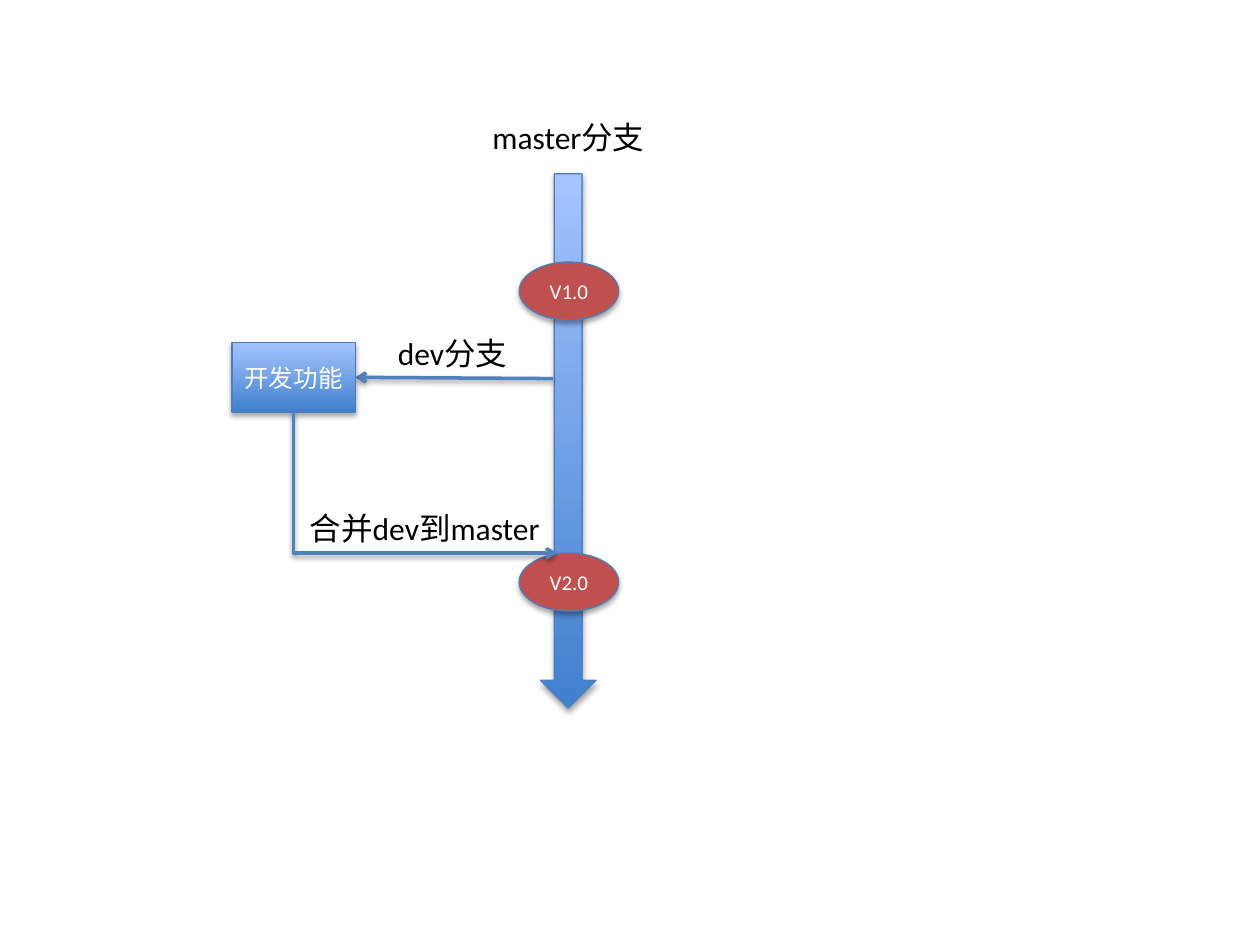
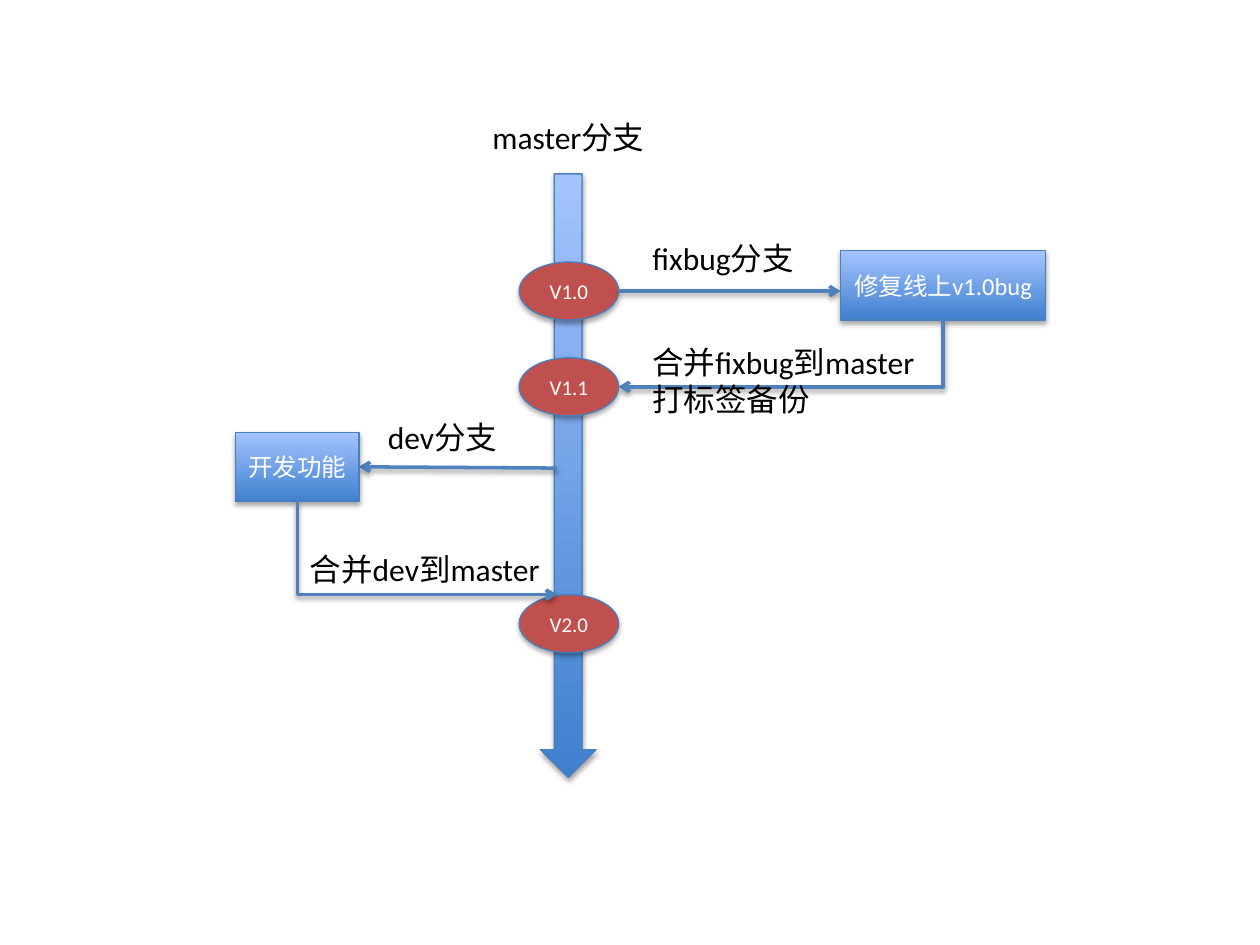
"""Two diagrams of a branching workflow: feature branch, then hotfix branch."""
from dataclasses import dataclass

from lxml.etree import SubElement
from pptx import Presentation
from pptx.dml.color import RGBColor
from pptx.enum.shapes import MSO_CONNECTOR, MSO_SHAPE
from pptx.enum.text import MSO_ANCHOR, MSO_AUTO_SIZE, PP_ALIGN
from pptx.oxml.ns import qn
from pptx.util import Inches, Pt

FONT = "Calibri"
BLACK, WHITE, RED = "000000", "FFFFFF", "C0504D"
GRADIENT = ("3F80CE", "A4C4FF")
OUTLINE, LINK = "4B7EBC", "4F81BD"

TRUNK_LEFT, TRUNK_TOP, TRUNK_WIDTH = 4.29, 1.38, 0.44
VERSION_LEFT, VERSION_WIDTH, VERSION_HEIGHT = 4.12, 0.79, 0.46
VERSION_RIGHT = VERSION_LEFT + VERSION_WIDTH
TASK_HEIGHT = 0.55
LABEL_HEIGHT = 0.4
MERGE_END = 4.42

SHAPE_FRAME = {"word_wrap": True, "vertical_anchor": MSO_ANCHOR.MIDDLE}
LABEL_FRAME = {"word_wrap": True, "vertical_anchor": MSO_ANCHOR.TOP,
               "auto_size": MSO_AUTO_SIZE.SHAPE_TO_FIT_TEXT}


@dataclass(frozen=True)
class Area:
    """A rectangle on the page, in inches."""
    left: float
    top: float
    width: float
    height: float

    @property
    def center_x(self) -> float:
        """Horizontal middle."""
        return self.left + self.width / 2

    @property
    def middle_y(self) -> float:
        """Vertical middle."""
        return self.top + self.height / 2

    @property
    def right(self) -> float:
        """Right edge."""
        return self.left + self.width

    @property
    def bottom(self) -> float:
        """Bottom edge."""
        return self.top + self.height

    def lengths(self) -> list:
        """The four lengths that python-pptx expects."""
        return [Inches(value) for value in (self.left, self.top, self.width, self.height)]


@dataclass(frozen=True)
class DevBranch:
    """Where the feature branch leaves the trunk and rejoins it."""
    task: Area
    fork_x: float
    label_left: float
    label_top: float
    merge_y: float


def color(value: str) -> RGBColor:
    """Turn a hex string into a colour."""
    return RGBColor.from_string(value)


def apply(target, values: dict) -> None:
    """Set attributes from a dict of format values."""
    for name, value in values.items():
        setattr(target, name, value)


def add_shadow(properties, alpha: int, distance: float) -> None:
    """Give shape properties a soft shadow that falls downwards."""
    effects = properties.find(qn("a:effectLst"))
    if effects is None:
        effects = SubElement(properties, qn("a:effectLst"))
    shadow = SubElement(effects, qn("a:outerShdw"), blurRad=str(Pt(3.1)),
                        dist=str(Pt(distance)), dir="5400000", rotWithShape="0")
    tone = SubElement(shadow, qn("a:srgbClr"), val=BLACK)
    SubElement(tone, qn("a:alpha"), val=str(alpha * 1000))


def write(frame, lines: list[str], size: int, ink: str, align: PP_ALIGN) -> None:
    """Write one paragraph for each line."""
    for index, line in enumerate(lines):
        para = frame.paragraphs[0] if index == 0 else frame.add_paragraph()
        para.alignment = align
        span = para.add_run()
        span.text = line
        apply(span.font, {"name": FONT, "size": Pt(size)})
        span.font.color.rgb = color(ink)


def add_block(page, kind: MSO_SHAPE, area: Area, text: str = "",
              size: int = 14, fill: str = ""):
    """Add an outlined shape, with the shared gradient unless a fill is given."""
    shape = page.shapes.add_shape(kind, *area.lengths())
    if fill:
        shape.fill.solid()
        shape.fill.fore_color.rgb = color(fill)
    else:
        shape.fill.gradient()
        shape.fill.gradient_angle = 90
        for stop, tone in zip(shape.fill.gradient_stops, GRADIENT):
            stop.color.rgb = color(tone)
    shape.line.color.rgb = color(OUTLINE)
    shape.line.width = Pt(0.75)
    shape.shadow.inherit = False
    add_shadow(shape.element.spPr, 35, 1.8)
    if text:
        apply(shape.text_frame, SHAPE_FRAME)
        write(shape.text_frame, [text], size, WHITE, PP_ALIGN.CENTER)
    return shape


def add_label(page, area: Area, *lines: str) -> None:
    """Add a plain text label."""
    box = page.shapes.add_textbox(*area.lengths())
    apply(box.text_frame, LABEL_FRAME)
    write(box.text_frame, list(lines), 18, BLACK, PP_ALIGN.LEFT)


def add_version(page, top: float, name: str) -> None:
    """Add a version oval on the trunk."""
    area = Area(VERSION_LEFT, top, VERSION_WIDTH, VERSION_HEIGHT)
    add_block(page, MSO_SHAPE.OVAL, area, name, 12, RED)


def add_link(page, kind: MSO_CONNECTOR, start: tuple[float, float],
             end: tuple[float, float]):
    """Add a connector with an arrowhead at its end."""
    link = page.shapes.add_connector(kind, *[Inches(value) for value in start + end])
    link.line.color.rgb = color(LINK)
    link.line.width = Pt(2)
    line = link.element.spPr.find(qn("a:ln"))
    SubElement(line, qn("a:tailEnd"), type="arrow")
    add_shadow(link.element.spPr, 38, 1.6)
    return link


def add_corner_link(page, start: tuple[float, float], end: tuple[float, float]) -> None:
    """Add an arrow that runs down from start, then sideways to end."""
    (start_x, start_y), (end_x, end_y) = start, end
    center_x, center_y = (start_x + end_x) / 2, (start_y + end_y) / 2
    rightward = end_x > start_x
    # The corner preset runs sideways first, so it is laid out turned by 90 degrees.
    half_width = (end_y - start_y) / 2 * (-1 if rightward else 1)
    half_height = abs(end_x - start_x) / 2
    link = add_link(page, MSO_CONNECTOR.ELBOW,
                    (center_x - half_width, center_y - half_height),
                    (center_x + half_width, center_y + half_height))
    properties = link.element.spPr
    properties.find(qn("a:xfrm")).set("rot", "16200000" if rightward else "5400000")
    properties.find(qn("a:prstGeom")).set("prst", "bentConnector2")


def add_trunk(page, height: float, merge_y: float) -> None:
    """Add the master branch with its first and last version."""
    trunk = add_block(page, MSO_SHAPE.DOWN_ARROW,
                      Area(TRUNK_LEFT, TRUNK_TOP, TRUNK_WIDTH, height))
    trunk.adjustments[0] = 0.5
    add_label(page, Area(3.81, 0.89, 1.43, LABEL_HEIGHT), "master分支")
    add_version(page, 2.08, "V1.0")
    add_version(page, merge_y, "V2.0")


def add_dev_branch(page, branch: DevBranch) -> None:
    """Add the feature branch, left of the trunk."""
    task = branch.task
    add_link(page, MSO_CONNECTOR.STRAIGHT, (branch.fork_x, task.middle_y + 0.01),
             (task.right, task.middle_y))
    add_label(page, Area(branch.label_left, branch.label_top, 1.08, LABEL_HEIGHT), "dev分支")
    add_block(page, MSO_SHAPE.RECTANGLE, task, "开发功能")
    add_corner_link(page, (task.center_x, task.bottom), (MERGE_END, branch.merge_y))
    add_label(page, Area(2.36, branch.merge_y - LABEL_HEIGHT, 2.05, LABEL_HEIGHT),
              "合并dev到master")


def add_fix_branch(page) -> None:
    """Add the hotfix branch, right of the trunk, and its version."""
    task = Area(6.67, 1.99, 1.63, TASK_HEIGHT)
    fork_y, merge_y = 2.31, 3.07
    add_link(page, MSO_CONNECTOR.STRAIGHT, (VERSION_RIGHT, fork_y), (task.left, fork_y))
    add_label(page, Area(5.08, 1.85, 1.38, LABEL_HEIGHT), "fixbug分支")
    add_block(page, MSO_SHAPE.RECTANGLE, task, "修复线上v1.0bug")
    add_corner_link(page, (task.center_x, task.bottom), (VERSION_RIGHT, merge_y))
    add_label(page, Area(5.08, 2.67, 2.31, 0.71), "合并fixbug到master", "打标签备份")
    add_version(page, merge_y - VERSION_HEIGHT / 2, "V1.1")


def main() -> None:
    """Build both pages and save the deck."""
    deck = Presentation()
    deck.slide_width, deck.slide_height = Inches(10), Inches(7.5)
    blank = deck.slide_layouts[6]

    page = deck.slides.add_slide(blank)
    branch = DevBranch(Area(1.84, 2.72, 0.98, TASK_HEIGHT), 4.39, 3.06, 2.6, 4.39)
    add_trunk(page, 4.24, branch.merge_y)
    add_dev_branch(page, branch)

    page = deck.slides.add_slide(blank)
    branch = DevBranch(Area(1.87, 3.43, 0.98, TASK_HEIGHT), 4.42, 2.98, 3.27, 4.72)
    add_trunk(page, 4.79, branch.merge_y)
    add_fix_branch(page)
    add_dev_branch(page, branch)

    deck.save("out.pptx")


main()
